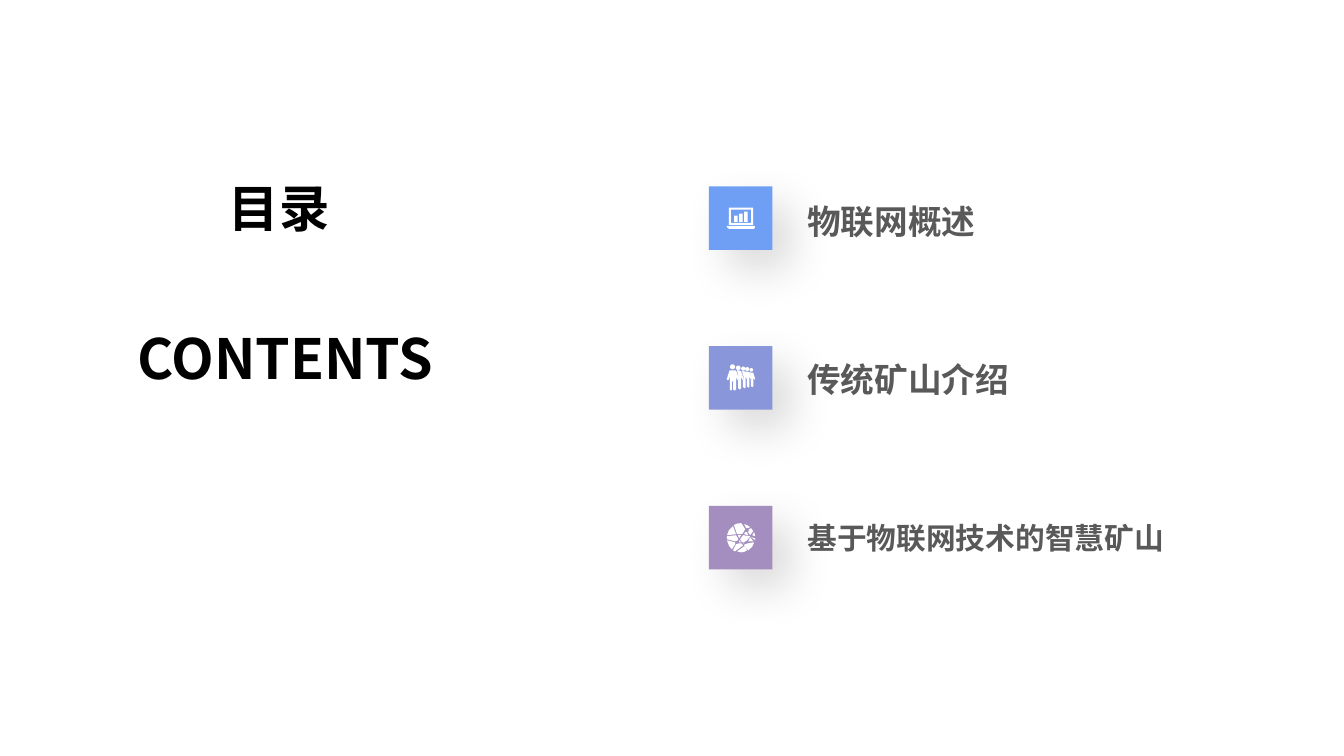
from math import cos, pi, sin

from lxml.etree import SubElement
from pptx import Presentation
from pptx.dml.color import RGBColor
from pptx.enum.shapes import MSO_SHAPE
from pptx.enum.text import MSO_ANCHOR, PP_ALIGN
from pptx.oxml.ns import qn
from pptx.util import Inches, Pt

WIDTH, HEIGHT = Inches(13.33), Inches(7.5)
FONT = "Noto Sans CJK SC"
BLACK = RGBColor(0x00, 0x00, 0x00)
GREY = RGBColor(0x59, 0x59, 0x59)
WHITE = RGBColor(0xFF, 0xFF, 0xFF)
BLUE = RGBColor(0x6E, 0x9F, 0xF5)
INDIGO = RGBColor(0x89, 0x97, 0xDA)
MAUVE = RGBColor(0xA4, 0x8E, 0xBF)

# Outlines are in hundredths of an inch from a tile's corner
FRONT = [(20.5, 24), (27, 24), (30, 32.5), (28.5, 34), (27, 30), (27, 43),
         (25.5, 44), (24, 43), (24, 35), (23, 35), (23, 43), (22, 44),
         (21, 43), (21, 30), (19.5, 33.5), (18, 33.5), (18, 32)]
BACK = [(0, 0), (4, 0.5), (6.5, 8.5), (5.5, 9.5), (4, 6), (4, 18),
        (2.5, 19), (1, 17.5), (1, 10), (2.3, 9)]
GLOBE = [
    [(35, 40), (36, 41), (38, 44), (35, 45.5), (32, 46), (28, 45)],
    [(34, 37), (35, 37), (35, 38)],
    [(30, 37), (32, 37), (34, 39), (26, 45), (24, 44), (27, 38)],
    [(45, 36), (43, 40.5), (39, 44), (35, 39), (36, 38), (39, 37)],
    [(18, 34), (26, 36), (26, 38), (23, 43), (20, 39.5)],
    [(30, 34), (32, 36), (30, 36)],
    [(41, 31), (44, 35), (39, 35)],
    [(42, 31), (46, 32), (46, 34)],
    [(27, 29), (29, 32), (29, 34), (26, 35), (18, 33), (18, 30)],
    [(34, 29), (41, 30), (38, 34), (35, 36), (33, 36), (31, 33)],
    [(32, 29), (30, 32), (29, 29)],
    [(36, 26), (38, 26), (39, 29), (35, 28)],
    [(45, 26), (46, 30), (43, 29)],
    [(42, 22), (44, 25), (41, 29), (39, 26), (40, 23)],
    [(24, 20), (27, 28), (18, 29), (20, 24)],
    [(35, 18), (38, 19), (41, 21), (39, 22), (37, 22)],
    [(32, 17), (33, 18), (36, 23), (35, 25), (33, 28), (28, 28), (25, 19),
     (28, 17.5)],
]


def across(share):
    return round(WIDTH * share / 100)


def down(share):
    return round(HEIGHT * share / 100)


def box(x, y, right, low):
    return [(x, y), (right, y), (right, low), (x, low)]


def disc(x, y, size, steps=16):
    turns = [2 * pi * step / steps for step in range(steps)]
    return [(x + size * cos(turn), y + size * sin(turn)) for turn in turns]


def laptop():
    bars = [box(x, y, x + 3.5, 35) for x, y in [(25, 29), (30, 27), (35, 25)]]
    base = [(18, 39), (45, 39), (46, 40), (45, 42), (20, 42), (18, 40.5)]
    return [base, box(20, 21, 44, 38), box(22, 23, 42, 36)] + bars


def people():
    parts = [FRONT, disc(23.5, 20.5, 2.5)]
    for x, y, size in [(28, 24, 1), (33, 24.7, 0.9),
                       (37, 25.2, 0.84), (41, 26, 0.77)]:
        parts.append([(x + size * a, y + size * b) for a, b in BACK])
        parts.append(disc(x + 1.2, y - 2.5, 2.3 * size))
    return parts


def add_text(slide, frame, words, size, color, align=PP_ALIGN.LEFT,
             anchor=MSO_ANCHOR.TOP):
    body = slide.shapes.add_textbox(*frame).text_frame
    body.word_wrap = True
    body.vertical_anchor = anchor
    line = body.paragraphs[0]
    line.alignment = align
    run = line.add_run()
    run.text = words
    font = run.font
    font.name, font.size, font.bold = FONT, Pt(size), True
    font.color.rgb = color
    # East Asian letters take the same face
    SubElement(font._element, qn("a:ea"), typeface=FONT)


def paint(shape, color):
    shape.shadow.inherit = False
    shape.fill.solid()
    shape.fill.fore_color.rgb = color
    shape.line.fill.background()


def add_shade(shape):
    effects = shape._element.spPr.find(qn("a:effectLst"))
    shade = SubElement(effects, qn("a:outerShdw"), blurRad=str(Pt(32)),
                       dist=str(Pt(19)), dir=str(45 * 60000),
                       algn="tl", rotWithShape="0")
    tint = SubElement(shade, qn("a:srgbClr"), val="000000")
    SubElement(tint, qn("a:alpha"), val="14000")


def add_icon(shapes, left, top, parts):
    places = [[(left + Inches(x / 100), top + Inches(y / 100))
               for x, y in part] for part in parts]
    pen = shapes.build_freeform(*places[0][0])
    for index, part in enumerate(places):
        if index:
            pen.move_to(*part[0])
        pen.add_line_segments(part[1:], close=True)
    paint(pen.convert_to_shape(), WHITE)


def add_tile(slide, left, top, color, parts):
    shapes = slide.shapes.add_group_shape().shapes
    side = down(8.4)
    tile = shapes.add_shape(MSO_SHAPE.RECTANGLE, left, top, side, side)
    paint(tile, color)
    add_shade(tile)
    add_icon(shapes, left, top, parts)


def main():
    deck = Presentation()
    deck.slide_width, deck.slide_height = WIDTH, HEIGHT
    slide = deck.slides.add_slide(deck.slide_layouts[6])

    # Headings
    add_text(slide, (across(16.28), down(22.8), across(9.9), down(10.4)),
             "目录", 36, BLACK)
    add_text(slide, (across(7.73), down(42.27), across(27.01), down(11.2)),
             "CONTENTS", 39.6, BLACK, PP_ALIGN.CENTER)

    # Chapters
    chapters = [("物联网概述", 24, BLUE, laptop()),
                ("传统矿山介绍", 24, INDIGO, people()),
                ("基于物联网技术的智慧矿山", 21.2, MAUVE, GLOBE)]
    for row, (words, size, color, parts) in enumerate(chapters):
        add_tile(slide, across(52.74), down(24.67 + 21.13 * row), color, parts)
        frame = (across(59.34), down(25.07 + 20.93 * row),
                 across(28.88), down(8.4))
        add_text(slide, frame, words, size, GREY, anchor=MSO_ANCHOR.MIDDLE)

    deck.save("out.pptx")


if __name__ == "__main__":
    main()
